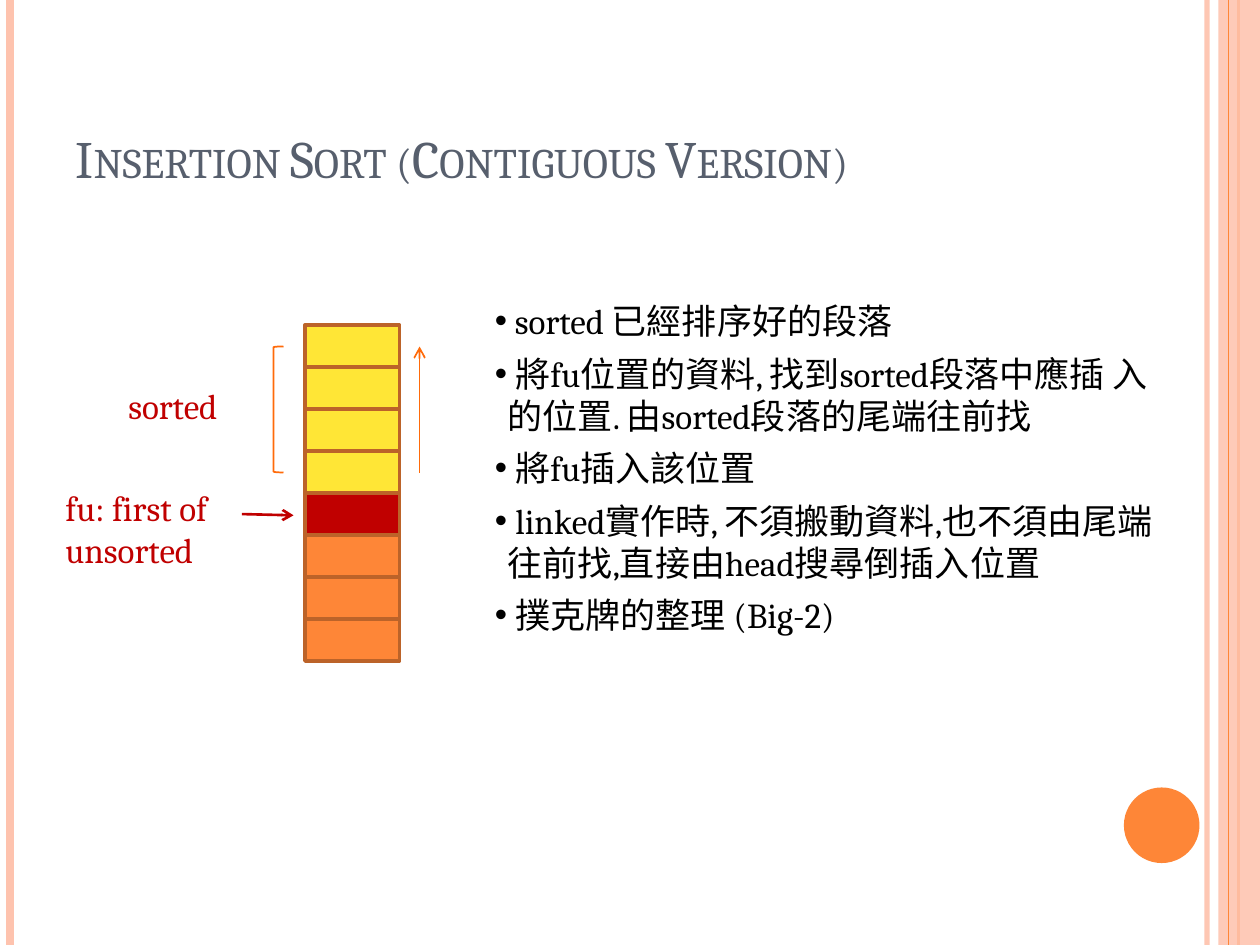
from lxml import etree
from pptx import Presentation
from pptx.dml.color import RGBColor
from pptx.enum.shapes import MSO_CONNECTOR, MSO_SHAPE
from pptx.enum.text import MSO_ANCHOR, MSO_AUTO_SIZE, PP_ALIGN
from pptx.oxml.ns import qn
from pptx.util import Inches, Pt

LINE = MSO_CONNECTOR.STRAIGHT
RECT, OVAL, BRACE = MSO_SHAPE.RECTANGLE, MSO_SHAPE.OVAL, MSO_SHAPE.LEFT_BRACKET
TOP, BOTTOM = MSO_ANCHOR.TOP, MSO_ANCHOR.BOTTOM
LEFT, FIXED = PP_ALIGN.LEFT, MSO_AUTO_SIZE.NONE

FONT = "Cambria"
HEX = {
    "pale": "FEC3AE", "orange": "FE8637", "vivid": "FF6B0A", "edge": "BC6329",
    "yellow": "FFE636", "red": "C00000", "slate": "575F6D", "black": "000000",
}
TITLE = "Insertion Sort (Contiguous Version)"
CELLS = ["yellow"] * 4 + ["red"] + ["orange"] * 3
LABELS = [
    ("fu: first of unsorted", (0.42, 3.81, 1.92, 0.77)),
    ("sorted", (0.92, 3, 1.17, 0.44)),
]
NOTES = [
    " sorted 已經排序好的段落",
    " 將fu位置的資料, 找到sorted段落中應插 入的位置. 由sorted段落的尾端往前找",
    " 將fu插入該位置",
    " linked實作時, 不須搬動資料,也不須由尾端往前找,直接由head搜尋倒插入位置",
    " 撲克牌的整理 (Big-2)",
]
RULES = [
    (9.58, "pale", 3, 93), (0.08, "pale", 4.5, 100), (9.83, "orange", 1.5, 100),
]
ARROWS = [
    ((1.92, 4.08), (2.33, 4.09), "red", 1.5),
    ((3.33, 3.75), (3.33, 2.75), "vivid", 1),
]

deck = Presentation()
deck.slide_width, deck.slide_height = Inches(10), Inches(7.5)
slide = deck.slides.add_slide(deck.slide_layouts[5])
shapes = slide.shapes


def color(name):
    return RGBColor.from_string(HEX[name])


def fade(shape, alpha):
    if alpha < 100:
        tone = next(shape._element.spPr.iter(qn("a:srgbClr")))
        etree.SubElement(tone, qn("a:alpha"), val=str(alpha * 1000))


def draw_line(start, end, name, width, alpha=100, arrow=False):
    line = shapes.add_connector(LINE, *map(Inches, start + end))
    line.line.color.rgb = color(name)
    line.line.width = Pt(width)
    fade(line, alpha)
    if arrow:
        etree.SubElement(line.line._get_or_add_ln(), qn("a:tailEnd"), type="arrow")
    etree.SubElement(line._element.spPr, qn("a:effectLst"))


def draw_shape(kind, box, fill=None, edge=None, width=1, alpha=100):
    shape = shapes.add_shape(kind, *map(Inches, box))
    shape.shadow.inherit = False
    if fill:
        shape.fill.solid()
        shape.fill.fore_color.rgb = color(fill)
    else:
        shape.fill.background()
    if edge:
        shape.line.color.rgb = color(edge)
        shape.line.width = Pt(width)
    else:
        shape.line.fill.background()
    fade(shape, alpha)


def place(shape, box):
    shape.left, shape.top, shape.width, shape.height = map(Inches, box)


def set_text(shape, lines, size, name, anchor=TOP):
    frame = shape.text_frame
    frame.text = "\n".join(lines)
    frame.word_wrap = True
    frame.auto_size = FIXED
    frame.vertical_anchor = anchor
    for para in frame.paragraphs:
        para.alignment = LEFT
        for run in para.runs:
            run.font.name = FONT
            run.font.size = Pt(size)
            run.font.color.rgb = color(name)
    return frame.paragraphs


def add_text(lines, box, name):
    return set_text(shapes.add_textbox(*map(Inches, box)), lines, 20, name)


for x, name, width, alpha in RULES:
    draw_line((x, 0), (x, 7.5), name, width, alpha)
draw_shape(RECT, (9.67, 0, 0.33, 7.5), "pale", alpha=87)
draw_line((9.75, 0), (9.75, 7.5), "orange", 0.75)
draw_shape(OVAL, (8.92, 6.25, 0.6, 0.6), "orange")

title = shapes.title
place(title, (0.5, 0.3, 8.17, 1.25))
for para in set_text(title, [TITLE], 30, "slate", BOTTOM):
    para.runs[0].font._element.set("cap", "small")

step = 1 / 3
for row, name in enumerate(CELLS):
    draw_shape(RECT, (2.42, 2.58 + row * step, 0.75, step), name, "edge", 2)
draw_shape(BRACE, (2.17, 2.75, 0.08, 1), edge="vivid")
for start, end, name, width in ARROWS:
    draw_line(start, end, name, width, arrow=True)

for text, box in LABELS:
    add_text([text], box, "red")
for row, para in enumerate(add_text(NOTES, (3.83, 2.33, 5.42, 3.21), "black")):
    para.space_after = Pt(6)
    props = para._p.get_or_add_pPr()
    if row:
        props.set("marL", str(Inches(0.1)))
        props.set("indent", str(Inches(-0.1)))
    etree.SubElement(props, qn("a:buFont"), typeface="Arial")
    etree.SubElement(props, qn("a:buChar"), char="•")

deck.save("out.pptx")
